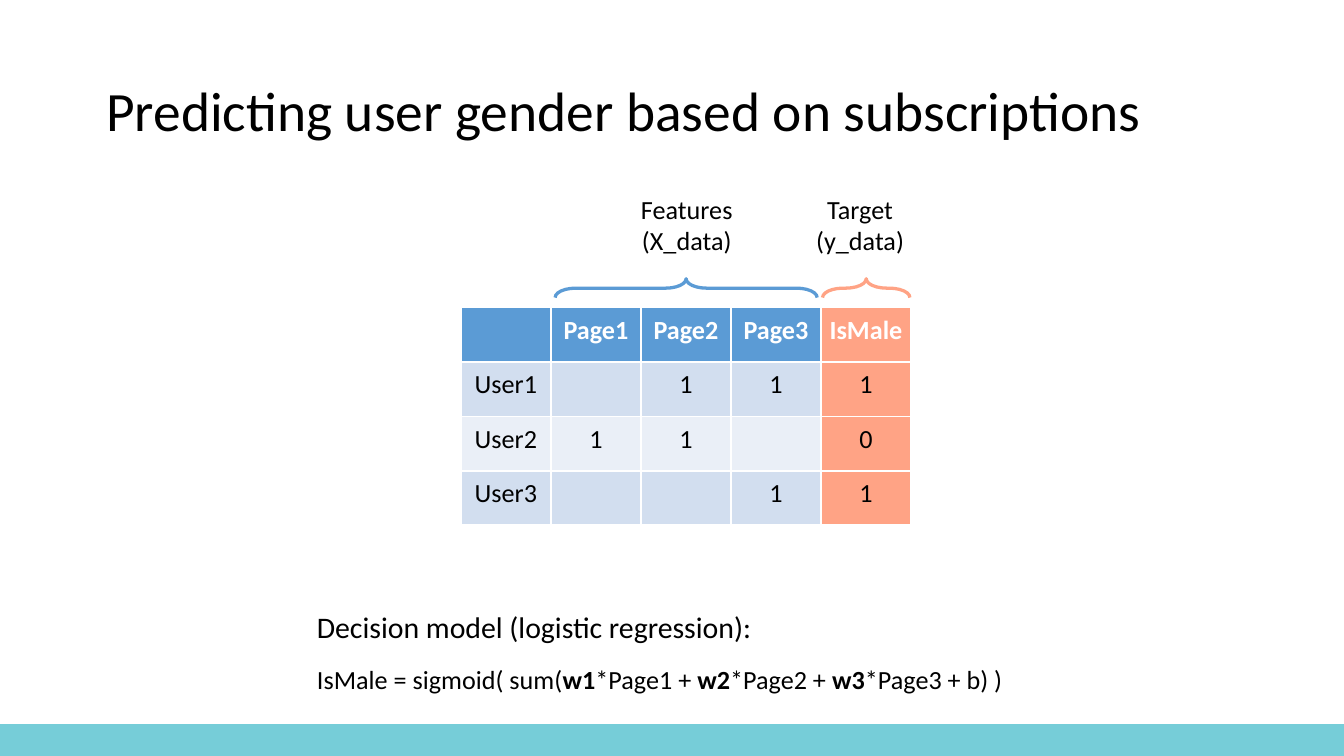
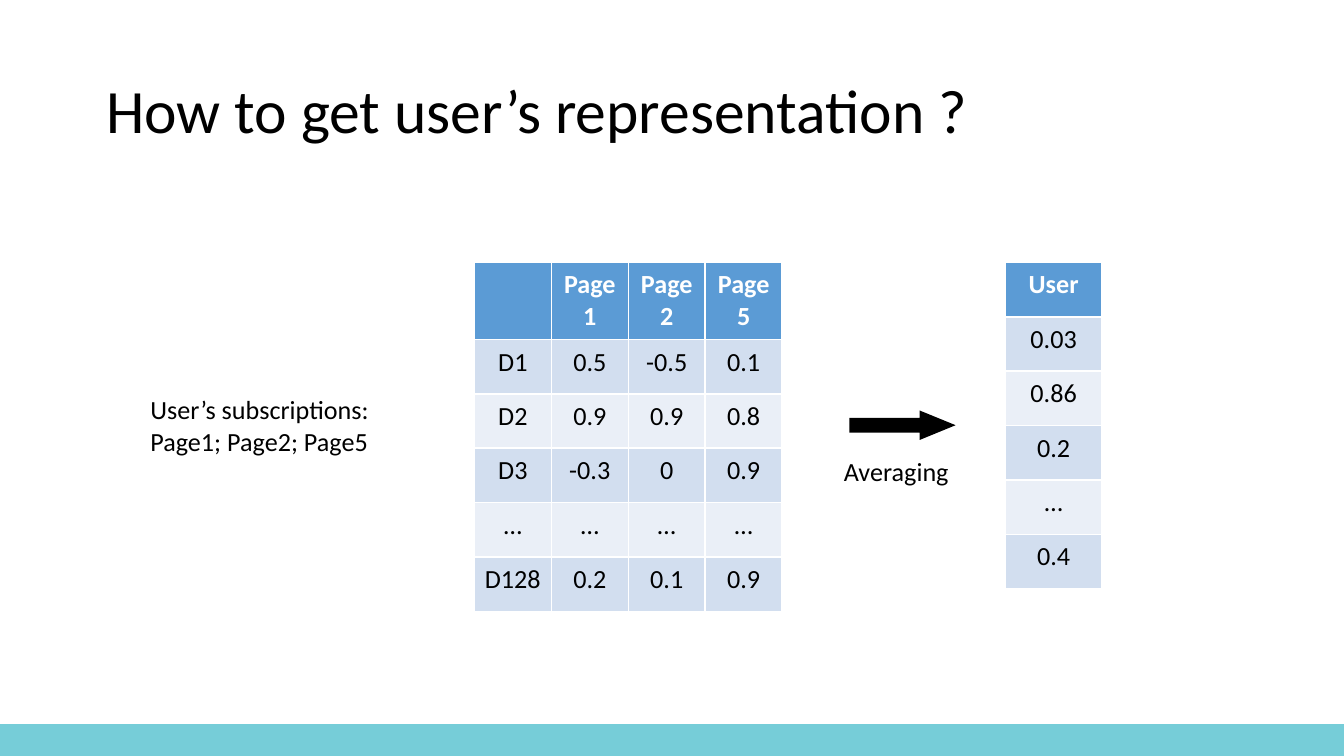
from pptx import Presentation
from pptx import util as u
from pptx.dml.color import RGBColor
from pptx.enum import shapes, text

WIDE, HIGH = u.Inches(10), u.Inches(5.625)
FONT = "Calibri"
HUES = {
    "band": "76CDD8",
    "head": "5B9BD5",
    "odd": "D2DEEF",
    "even": "EAEFF7",
    "goal": "FFA385",
    "ink": "000000",
    "white": "FFFFFF",
}
KIND = shapes.MSO_SHAPE
MID = text.PP_ALIGN.CENTER
LEFT = text.PP_ALIGN.LEFT


def hue(name):
    """Return the named colour."""
    return RGBColor.from_string(HUES[name])


def area(x, y, w, h):
    """Turn percentages of the slide into left, top, width and height."""
    return [int(part * side / 100)
            for part, side in zip((x, y, w, h), (WIDE, HIGH) * 2)]


def style(para, size, color="ink", bold=False, align=LEFT):
    """Format a whole paragraph."""
    para.alignment = align
    font = para.font
    font.name, font.size, font.bold = FONT, u.Pt(size), bold
    font.color.rgb = hue(color)


def form(slide, kind, place, fill=None):
    """Add a flat preset shape without outline."""
    shape = slide.shapes.add_shape(kind, *place)
    shape.shadow.inherit = False
    if fill:
        shape.fill.solid()
        shape.fill.fore_color.rgb = hue(fill)
    else:
        shape.fill.background()
    shape.line.fill.background()
    return shape


def band(deck, slide):
    """Make the bottom band and hand it to the slide master."""
    strip = form(slide, KIND.RECTANGLE, area(0, 95.8, 100, 4.2), "band").element
    strip.nvSpPr.cNvPr.set("id", "99")
    deck.slide_master.shapes.element.insert(2, strip)


def page(deck, words, size):
    """Add a slide with its title."""
    slide = deck.slides.add_slide(deck.slide_layouts[5])
    title = slide.shapes.title
    title.left, title.top, title.width, title.height = area(6.9, 5.33, 86.2, 19.4)
    frame = title.text_frame
    frame.text = words
    frame.auto_size = text.MSO_AUTO_SIZE.NONE
    frame.vertical_anchor = text.MSO_ANCHOR.MIDDLE
    para = frame.paragraphs[0]
    style(para, size)
    para.line_spacing = 0.9
    return slide


def note(slide, place, lines, size=14, align=LEFT, wrap=True):
    """Add a text box; every second part between bars is bold."""
    frame = slide.shapes.add_textbox(*place).text_frame
    frame.word_wrap = wrap
    frame.auto_size = text.MSO_AUTO_SIZE.SHAPE_TO_FIT_TEXT
    for row, line in enumerate(lines):
        para = frame.add_paragraph() if row else frame.paragraphs[0]
        style(para, size, align=align)
        for turn, part in enumerate(line.split("|")):
            run = para.add_run()
            run.text = part
            if turn % 2:
                run.font.bold = True


def grid(slide, place, rows, goal=None):
    """Add a banded table; the goal column has its own fill."""
    table = slide.shapes.add_table(len(rows), len(rows[0]), *place).table
    for r, row in enumerate(rows):
        tint = ("odd" if r % 2 else "even") if r else "head"
        for c, words in enumerate(row):
            cell = table.cell(r, c)
            cell.text = words
            cell.margin_left = cell.margin_right = u.Inches(0.05)
            cell.margin_top = cell.margin_bottom = u.Inches(0.05)
            cell.fill.solid()
            cell.fill.fore_color.rgb = hue("goal" if c == goal else tint)
            style(cell.text_frame.paragraphs[0], 14,
                  "ink" if r else "white", not r, MID)


def brace(slide, place, first, span, count, color):
    """Add a brace above a run of table columns."""
    left, top, width, _ = place
    step = width / count
    thick, long = u.Inches(0.14), int(step * span * 0.97)
    x = left + step * (first + span / 2)
    y = top - u.Inches(0.145)
    shape = form(slide, KIND.LEFT_BRACE,
                 [int(x - thick / 2), int(y - long / 2), thick, long])
    shape.rotation = 90
    shape.adjustments[0] = 1.09
    shape.line.color.rgb = hue(color)
    shape.line.width = u.Pt(1.75)


def gender(deck):
    """Build the slide on predicting gender."""
    slide = page(deck, "Predicting user gender based on subscriptions", 29.7)
    band(deck, slide)
    place = area(34.3, 40.7, 33.5, 28.8)
    grid(slide, place, [
        ["", "Page1", "Page2", "Page3", "IsMale"],
        ["User1", "", "1", "1", "1"],
        ["User2", "1", "1", "", "0"],
        ["User3", "", "", "1", "1"],
    ], goal=4)
    brace(slide, place, 1, 3, 5, "head")
    brace(slide, place, 4, 1, 5, "goal")
    for x, lines in ((44.2, ["Features", "(X_data)"]),
                     (57.1, ["Target", "(y_data)"])):
        note(slide, area(x, 24.7, 13.8, 10.1), lines, align=MID)
    note(slide, area(22.6, 86.9, 59.8, 6), [
        "IsMale = sigmoid( sum(|w1|*Page1 + |w2|*Page2 + |w3|*Page3 + b) )"])
    note(slide, area(22.6, 79.6, 53.3, 6.6),
         ["Decision model (logistic regression):"], 16)


def user(deck):
    """Build the slide on averaging page vectors."""
    slide = page(deck, "How to get user’s representation ?", 33)
    grid(slide, area(35.3, 34.7, 22.9, 43.2), [
        ["", "Page1", "Page2", "Page5"],
        ["D1", "0.5", "-0.5", "0.1"],
        ["D2", "0.9", "0.9", "0.8"],
        ["D3", "-0.3", "0", "0.9"],
        ["…"] * 4,
        ["D128", "0.2", "0.1", "0.9"],
    ])
    grid(slide, area(74.8, 34.7, 7.2, 43.2),
         [[word] for word in ("User", "0.03", "0.86", "0.2", "…", "0.4")])
    arrow = form(slide, KIND.RIGHT_ARROW, area(63.2, 54.3, 7.9, 3.9), "ink")
    arrow.adjustments[1] = 1.22
    note(slide, area(61.8, 59.4, 9.9, 6), ["Averaging"], wrap=False)
    note(slide, area(10.2, 51.2, 19.2, 10.1),
         ["User’s subscriptions:", "Page1; Page2; Page5"])


def main():
    """Build and save the deck."""
    deck = Presentation()
    deck.slide_width, deck.slide_height = WIDE, HIGH
    gender(deck)
    user(deck)
    deck.save("out.pptx")


if __name__ == "__main__":
    main()
